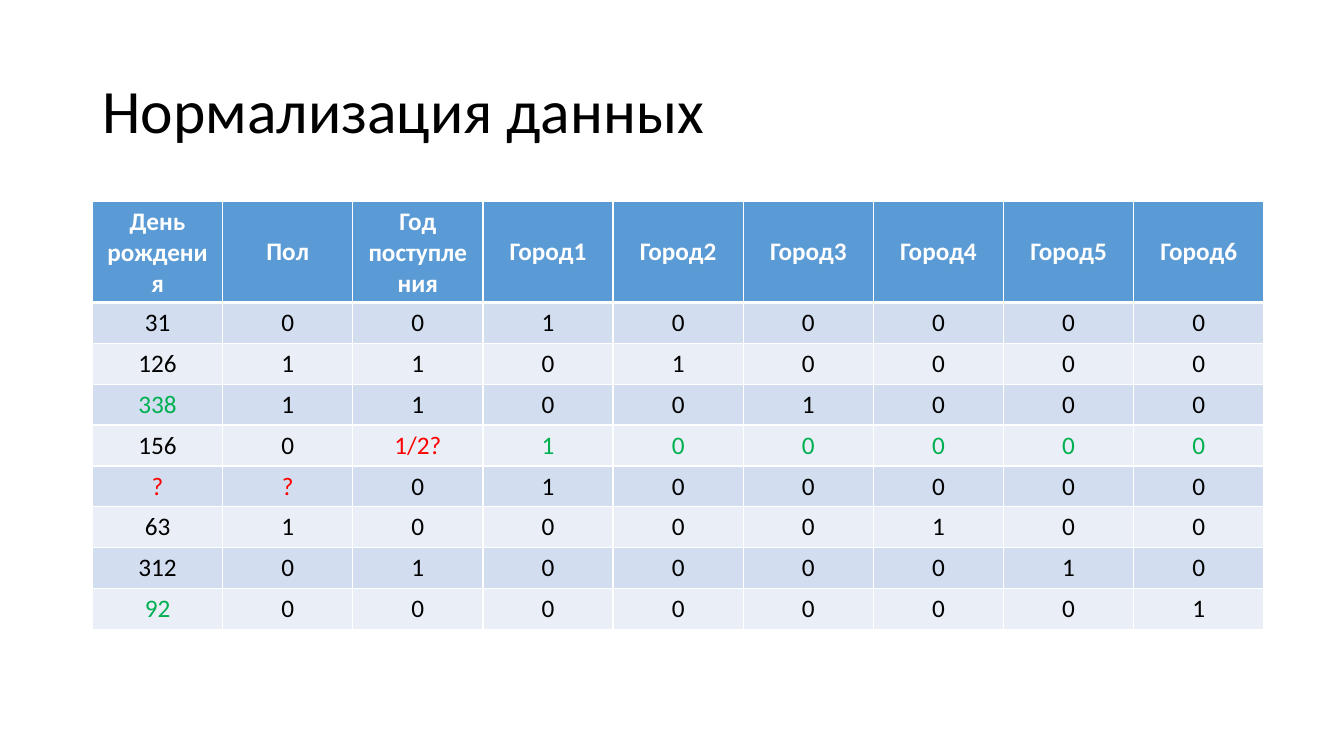
"""Build a slide with a table of normalized student data."""
from lxml.etree import SubElement
from pptx import Presentation
from pptx.dml.color import RGBColor
from pptx.enum.text import MSO_ANCHOR, PP_ALIGN
from pptx.oxml.ns import qn
from pptx.util import Cm, Pt

THEME = {
    "font": "Calibri",
    "title_size": 44,
    "cell_size": 18,
    "text": "000000",
    "header_text": "FFFFFF",
    "header_fill": "5B9BD5",
    "bands": ("D2DEEF", "EAEFF7"),
    "border": "FFFFFF",
    "thin": 1,
    "thick": 3,
    "unknown": "FF0000",
    "derived": "00B050",
}


def write(para, text, size, color, bold=False):
    span = para.add_run()
    span.text = text
    span.font.color.rgb = RGBColor.from_string(color)
    font_format = {"name": THEME["font"], "size": Pt(size), "bold": bold}
    for name, value in font_format.items():
        setattr(span.font, name, value)


def add_border(cell, side, width):
    line = SubElement(cell._tc.get_or_add_tcPr(), qn(f"a:ln{side}"), w=str(Pt(width)))
    fill = SubElement(line, qn("a:solidFill"))
    SubElement(fill, qn("a:srgbClr"), val=THEME["border"])


deck = Presentation()
deck.slide_width, deck.slide_height = Cm(33.87), Cm(19.05)
page = deck.slides.add_slide(deck.slide_layouts[6])

title = page.shapes.add_textbox(Cm(2.33), Cm(1.01), Cm(29.21), Cm(3.68)).text_frame
for name, value in {"word_wrap": True, "vertical_anchor": MSO_ANCHOR.MIDDLE}.items():
    setattr(title, name, value)
title.paragraphs[0].line_spacing = 0.9
write(title.paragraphs[0], "Нормализация данных", THEME["title_size"], THEME["text"])

CITY_COUNT = 6
students = [
    ("31", "0", "0", 1),
    ("126", "1", "1", 2),
    ("338", "1", "1", 3),
    ("156", "0", "1/2?", 1),
    ("?", "?", "0", 1),
    ("63", "1", "0", 4),
    ("312", "0", "1", 5),
    ("92", "0", "0", 6),
]
cities = range(1, CITY_COUNT + 1)
rows = [["День рождения", "Пол", "Год поступления"] + [f"Город{city}" for city in cities]]
for *features, home in students:
    rows.append(features + [str(int(city == home)) for city in cities])

derived_cells = {(3, 0), (8, 0)} | {(4, 2 + city) for city in cities}
column_width, row_height = Cm(3.28), Cm(1.03)
column_count = len(rows[0])
table = page.shapes.add_table(
    len(rows), column_count, Cm(2.33), Cm(5.08),
    column_width * column_count, row_height * len(rows),
).table
for column in table.columns:
    column.width = column_width
for row in table.rows:
    row.height = row_height

for row_index, values in enumerate(rows):
    is_header = row_index == 0
    fill_color = THEME["header_fill"] if is_header else THEME["bands"][(row_index - 1) % 2]
    widths = {
        "L": THEME["thin"],
        "R": THEME["thin"],
        "T": THEME["thick"] if row_index == 1 else THEME["thin"],
        "B": THEME["thick"] if is_header else THEME["thin"],
    }
    for column_index, value in enumerate(values):
        cell = table.cell(row_index, column_index)
        for side, width in widths.items():
            add_border(cell, side, width)
        cell.fill.solid()
        cell.fill.fore_color.rgb = RGBColor.from_string(fill_color)
        cell.vertical_anchor = MSO_ANCHOR.MIDDLE
        if is_header:
            color = THEME["header_text"]
        elif "?" in value:
            color = THEME["unknown"]
        elif (row_index, column_index) in derived_cells:
            color = THEME["derived"]
        else:
            color = THEME["text"]
        para = cell.text_frame.paragraphs[0]
        para.alignment = PP_ALIGN.CENTER
        write(para, value, THEME["cell_size"], color, is_header)

deck.save("out.pptx")
